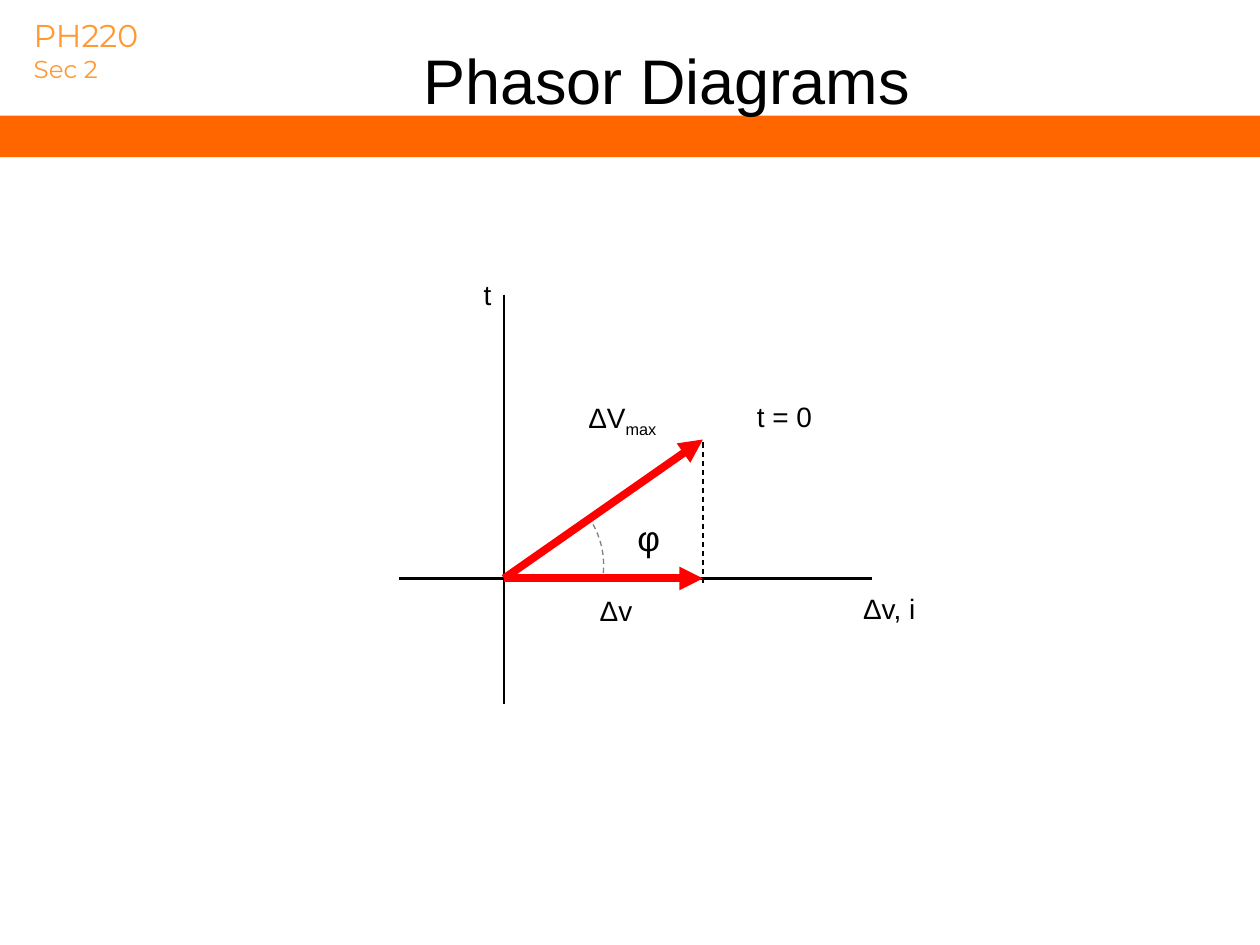
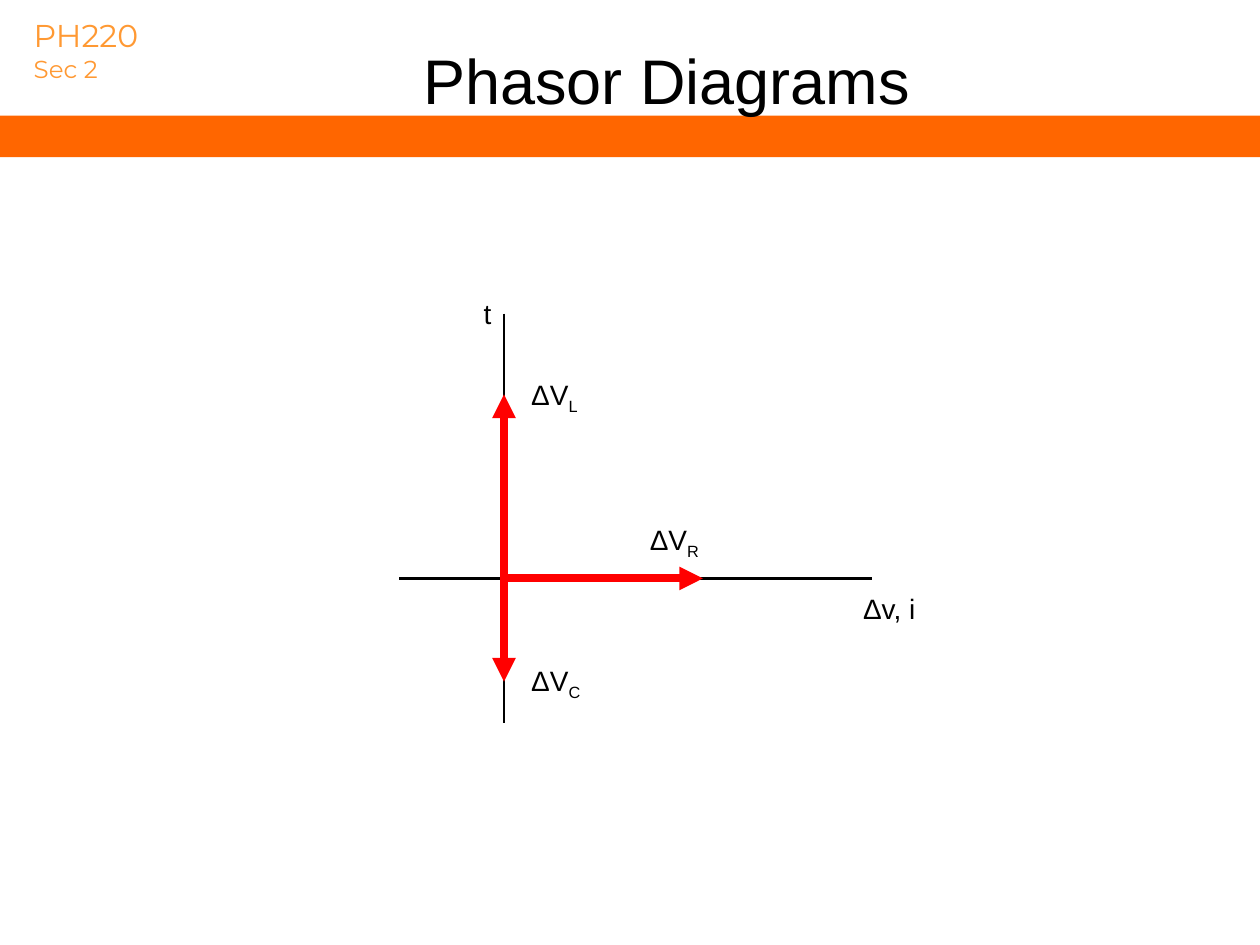
from math import cos, radians, sin

from lxml.etree import SubElement
from pptx import Presentation
from pptx.dml.color import RGBColor
from pptx.enum.dml import MSO_LINE_DASH_STYLE as Dash
from pptx.enum.shapes import MSO_CONNECTOR as Connector, MSO_SHAPE as Shape
from pptx.enum.text import MSO_ANCHOR as Anchor, MSO_AUTO_SIZE as AutoSize, PP_ALIGN as Align
from pptx.oxml.ns import qn
from pptx.util import Cm, Pt

# Shared look
BLACK = RGBColor(0x00, 0x00, 0x00)
RED = RGBColor(0xFF, 0x00, 0x00)
GREY = RGBColor(0x80, 0x80, 0x80)
BAND_ORANGE = RGBColor(0xFF, 0x66, 0x00)
COURSE_ORANGE = RGBColor(0xFF, 0x99, 0x33)
PAGE_WIDTH, PAGE_HEIGHT = 25.4, 19.05

# Shared content, lengths in cm
TITLE = "Phasor Diagrams"
COURSE = [("PH220", 18), ("Sec 2", 14)]
ORIGIN_X, ORIGIN_Y = 10.16, 11.66
AXIS_LEFT, AXIS_RIGHT = 8.05, 17.58
TIME_AXIS_LENGTH = 8.26
TIP_X = 14.17
LABEL_WIDTH, LABEL_HEIGHT = 1.96, 0.94

# Labels: text, subscript, left, top, format
DIAGRAMS = [
    {
        "axis_top": 5.94,
        "phasor_tips": [(TIP_X, 8.86), (TIP_X, ORIGIN_Y)],
        "projection": (8.92, 11.79),
        "angle": {"centre": (10.46, 11.4), "radius": 1.71, "degrees": (-29, 9)},
        "labels": [
            ("ΔV", "max", 11.61, 7.95, {}),
            ("φ", "", 12.6, 10.29, {"width": 0.89, "height": 1.12, "size": 20, "wrap": False}),
            ("Δv", "", 11.84, 11.84, {}),
            ("t = 0", "", 15.01, 7.92, {"width": 1.65, "wrap": False}),
        ],
    },
    {
        "axis_top": 6.32,
        "phasor_tips": [(ORIGIN_X, 7.95), (TIP_X, ORIGIN_Y), (ORIGIN_X, 13.74)],
        "labels": [
            ("ΔV", "L", 10.46, 7.49, {}),
            ("ΔV", "C", 10.46, 13.26, {}),
            ("ΔV", "R", 12.85, 10.41, {}),
        ],
    },
]


def add_span(para, text, size=16, font="Arial", color=BLACK, subscript=False):
    span = para.add_run()
    span.text = text
    span.font.size = Pt(size)
    span.font.name = font
    span.font.color.rgb = color
    if subscript:
        span._r.get_or_add_rPr().set("baseline", "-25000")


def add_box(page, left, top, width, height, wrap=True, anchor=Anchor.TOP):
    frame = page.shapes.add_textbox(Cm(left), Cm(top), Cm(width), Cm(height)).text_frame
    frame.word_wrap = wrap
    frame.auto_size = AutoSize.NONE if wrap else AutoSize.SHAPE_TO_FIT_TEXT
    frame.vertical_anchor = anchor
    return frame


def add_label(page, text, subscript, left, top, width=LABEL_WIDTH, height=LABEL_HEIGHT,
              size=16, wrap=True):
    para = add_box(page, left, top, width, height, wrap=wrap).paragraphs[0]
    add_span(para, text, size=size)
    if subscript:
        add_span(para, subscript, size=size, subscript=True)


def add_line(page, start, end, color=BLACK, weight=1.5, dashed=False, arrow=False):
    line = page.shapes.add_connector(Connector.STRAIGHT, *map(Cm, start + end))
    line.line.color.rgb = color
    line.line.width = Pt(weight)
    if dashed:
        line.line.dash_style = Dash.DASH
    if arrow:
        SubElement(line.line._get_or_add_ln(), qn("a:tailEnd"), type="triangle")
    SubElement(line._element.spPr, qn("a:effectLst"))


def add_angle(page, centre, radius, degrees):
    first, last = degrees
    points = [
        (Cm(centre[0] + radius * cos(radians(step))), Cm(centre[1] + radius * sin(radians(step))))
        for step in range(first, last + 1, 2)
    ]
    builder = page.shapes.build_freeform(*points[0])
    builder.add_line_segments(points[1:], close=False)
    arc = builder.convert_to_shape()
    arc.shadow.inherit = False
    arc.fill.background()
    arc.line.color.rgb = GREY
    arc.line.width = Pt(0.75)
    arc.line.dash_style = Dash.DASH


def add_header(page):
    # Course mark
    frame = add_box(page, 0.43, 0.2, 2.77, 1.6, wrap=False)
    for index, (text, size) in enumerate(COURSE):
        para = frame.add_paragraph() if index else frame.paragraphs[0]
        add_span(para, text, size=size, font="Montserrat", color=COURSE_ORANGE)

    # Band
    band = page.shapes.add_shape(Shape.RECTANGLE, 0, Cm(2.33), Cm(PAGE_WIDTH), Cm(0.84))
    band.shadow.inherit = False
    band.fill.solid()
    band.fill.fore_color.rgb = BAND_ORANGE
    band.line.fill.background()

    # Title
    para = add_box(page, 4.45, 0, 17.98, 3.18, anchor=Anchor.MIDDLE).paragraphs[0]
    para.alignment = Align.CENTER
    add_span(para, TITLE, size=36)


def add_diagram(page, axis_top, phasor_tips, labels, projection=None, angle=None):
    # Axes and their names
    add_line(page, (ORIGIN_X, axis_top), (ORIGIN_X, axis_top + TIME_AXIS_LENGTH))
    add_line(page, (AXIS_LEFT, ORIGIN_Y), (AXIS_RIGHT, ORIGIN_Y))
    add_label(page, "t", "", 9.5, axis_top - 0.46, width=0.66, wrap=False)
    add_label(page, "Δv, i", "", 17.15, 11.81, width=1.57, wrap=False)

    # Angle, projection and phasors
    if angle:
        add_angle(page, **angle)
    if projection:
        top, bottom = projection
        add_line(page, (TIP_X, top), (TIP_X, bottom), weight=0.75, dashed=True)
    for tip in phasor_tips:
        add_line(page, (ORIGIN_X, ORIGIN_Y), tip, color=RED, weight=4.5, arrow=True)

    for text, subscript, left, top, style in labels:
        add_label(page, text, subscript, left, top, **style)


def main():
    deck = Presentation()
    deck.slide_width, deck.slide_height = Cm(PAGE_WIDTH), Cm(PAGE_HEIGHT)
    for diagram in DIAGRAMS:
        page = deck.slides.add_slide(deck.slide_layouts[6])
        add_header(page)
        add_diagram(page, **diagram)
    deck.save("out.pptx")


if __name__ == "__main__":
    main()
